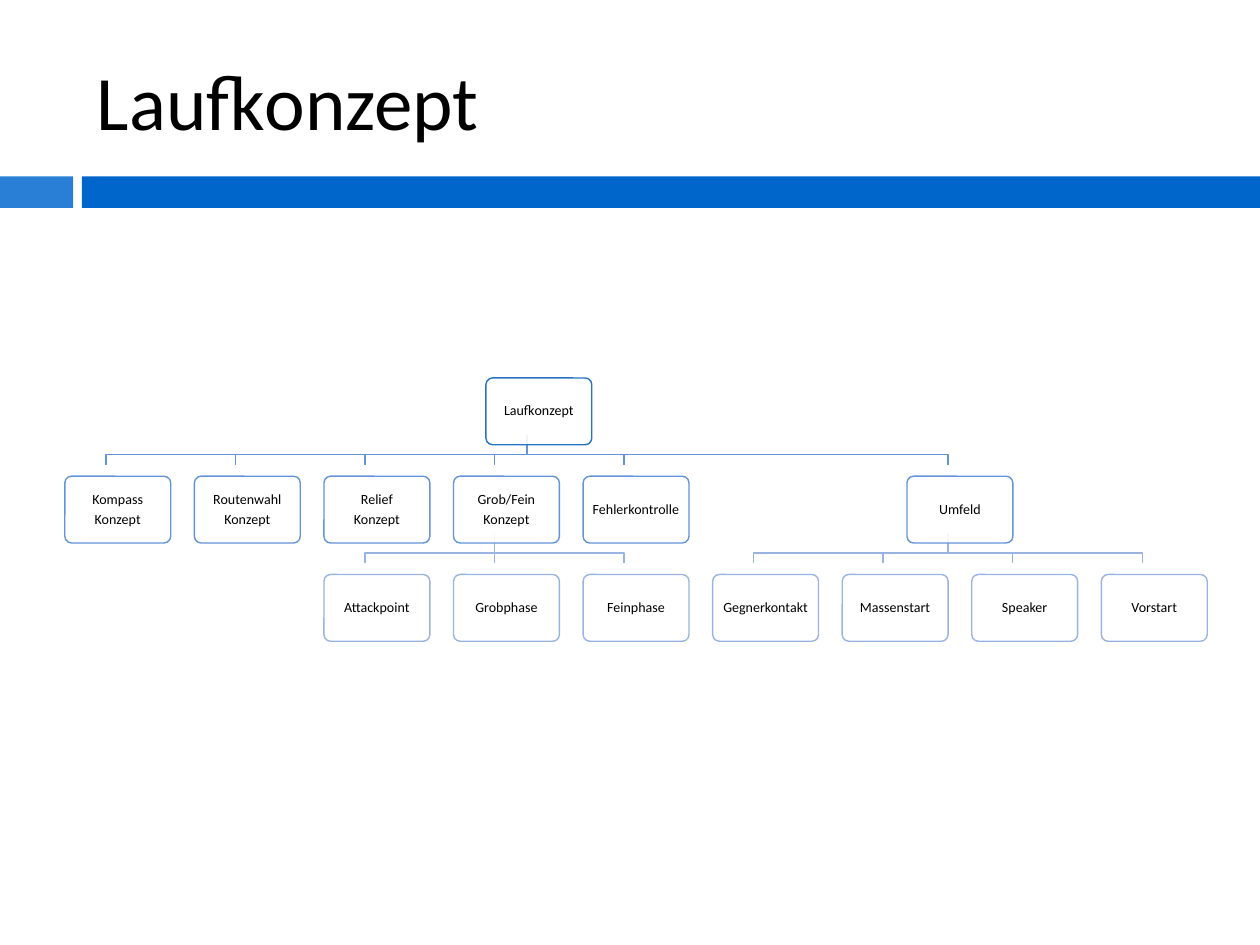
from dataclasses import dataclass

from lxml.etree import SubElement
from pptx import Presentation
from pptx.dml.color import RGBColor
from pptx.enum.shapes import MSO_CONNECTOR, MSO_SHAPE
from pptx.enum.text import MSO_ANCHOR, PP_ALIGN
from pptx.oxml.ns import qn
from pptx.util import Inches, Pt


@dataclass(frozen=True)
class Theme:
    font: str = "Calibri"
    title_size: float = 44
    box_size: float = 8
    line_width: float = 0.79
    text: str = "000000"
    box_fill: str = "FFFFFF"
    box_opacity: int = 90000
    accent: str = "297FD5"
    band: str = "0066CC"
    levels: tuple[str, ...] = ("2573C1", "6393DA", "99B3E3")


@dataclass(frozen=True)
class Grid:
    left: float = 0.515
    top: float = 3.0
    column: float = 1.0283
    row: float = 0.78
    box_width: float = 0.84
    box_height: float = 0.53
    stem_x: float = 0.325
    stem_start: float = 0.45
    stem_bend: float = 0.61
    stem_end: float = 0.69

    def x(self, column: float, offset: float = 0) -> int:
        return Inches(self.left + column * self.column + offset)

    def y(self, row: int, offset: float = 0) -> int:
        return Inches(self.top + row * self.row + offset)


@dataclass(frozen=True)
class Topic:
    lines: tuple[str, ...]
    leaf_column: float = 0
    children: tuple["Topic", ...] = ()

    @property
    def column(self) -> float:
        if not self.children:
            return self.leaf_column
        return (self.children[0].column + self.children[-1].column) / 2


THEME = Theme()
GRID = Grid()

COARSE_FINE = tuple(
    Topic((name,), column)
    for column, name in enumerate(("Attackpoint", "Grobphase", "Feinphase"), 2)
)
SURROUNDINGS = tuple(
    Topic((name,), column)
    for column, name in enumerate(
        ("Gegnerkontakt", "Massenstart", "Speaker", "Vorstart"), 5
    )
)
RUN_CONCEPT = Topic(
    ("Laufkonzept",),
    children=(
        Topic(("Kompass", "Konzept"), 0),
        Topic(("Routenwahl", "Konzept"), 1),
        Topic(("Relief", "Konzept"), 2),
        Topic(("Grob/Fein", "Konzept"), children=COARSE_FINE),
        Topic(("Fehlerkontrolle",), 4),
        Topic(("Umfeld",), children=SURROUNDINGS),
    ),
)


def rgb(value: str) -> RGBColor:
    return RGBColor.from_string(value)


def add_run(paragraph, text: str, size: float) -> None:
    run = paragraph.add_run()
    run.text = text
    run.font.name = THEME.font
    run.font.size = Pt(size)
    run.font.color.rgb = rgb(THEME.text)


def style_line(line, level: int) -> None:
    line.color.rgb = rgb(THEME.levels[level])
    line.width = Pt(THEME.line_width)


def draw_title(slide, text: str) -> None:
    title = slide.shapes.add_textbox(
        Inches(0.67), Inches(0.25), Inches(8.92), Inches(1.08)
    )
    title.text_frame.word_wrap = True
    title.text_frame.vertical_anchor = MSO_ANCHOR.MIDDLE
    add_run(title.text_frame.paragraphs[0], text, THEME.title_size)


def draw_band(slide, left: float, width: float, color: str) -> None:
    band = slide.shapes.add_shape(
        MSO_SHAPE.RECTANGLE, Inches(left), Inches(1.4), Inches(width), Inches(0.25)
    )
    band.shadow.inherit = False
    band.fill.solid()
    band.fill.fore_color.rgb = rgb(color)
    band.line.fill.background()


def draw_link(slide, parent: Topic, child: Topic, row: int) -> None:
    start_x = GRID.x(parent.column, GRID.stem_x)
    end_x = GRID.x(child.column, GRID.stem_x)
    start_y, bend_y, end_y = (
        GRID.y(row, offset)
        for offset in (GRID.stem_start, GRID.stem_bend, GRID.stem_end)
    )
    if start_x == end_x:
        link = slide.shapes.add_connector(
            MSO_CONNECTOR.STRAIGHT, start_x, start_y, end_x, end_y
        )
        style_line(link.line, row + 1)
        SubElement(link._element.spPr, qn("a:effectLst"))
        return
    outline = slide.shapes.build_freeform(start_x, start_y)
    outline.add_line_segments(
        [(start_x, bend_y), (end_x, bend_y), (end_x, end_y)], close=False
    )
    link = outline.convert_to_shape()
    link.shadow.inherit = False
    link.fill.background()
    style_line(link.line, row + 1)


def draw_links(slide, topic: Topic, row: int = 0) -> None:
    for child in reversed(topic.children):
        draw_links(slide, child, row + 1)
        draw_link(slide, topic, child, row)


def draw_box(slide, topic: Topic, row: int) -> None:
    box = slide.shapes.add_shape(
        MSO_SHAPE.ROUNDED_RECTANGLE,
        GRID.x(topic.column),
        GRID.y(row),
        Inches(GRID.box_width),
        Inches(GRID.box_height),
    )
    box.adjustments[0] = 0.1
    box.shadow.inherit = False
    box.fill.solid()
    box.fill.fore_color.rgb = rgb(THEME.box_fill)
    fill_color = box._element.spPr.find(qn("a:solidFill"))[0]
    SubElement(fill_color, qn("a:alpha"), val=str(THEME.box_opacity))
    style_line(box.line, row)

    frame = box.text_frame
    frame.word_wrap = True
    frame.vertical_anchor = MSO_ANCHOR.MIDDLE
    frame.margin_left = frame.margin_right = Inches(0.03)
    frame.margin_top = frame.margin_bottom = Inches(0.03)
    for index, line in enumerate(topic.lines):
        paragraph = frame.add_paragraph() if index else frame.paragraphs[0]
        paragraph.alignment = PP_ALIGN.CENTER
        paragraph.line_spacing = 0.9
        paragraph.space_after = Pt(0.35 * THEME.box_size)
        add_run(paragraph, line, THEME.box_size)


def draw_boxes(slide, topic: Topic, row: int = 0) -> None:
    draw_box(slide, topic, row)
    for child in topic.children:
        draw_boxes(slide, child, row + 1)


def main() -> None:
    deck = Presentation()
    deck.slide_width, deck.slide_height = Inches(10), Inches(7.5)
    slide = deck.slides.add_slide(deck.slide_layouts[6])
    draw_band(slide, 0, 0.58, THEME.accent)
    draw_band(slide, 0.65, 9.35, THEME.band)
    draw_title(slide, "Laufkonzept")
    draw_links(slide, RUN_CONCEPT)
    draw_boxes(slide, RUN_CONCEPT)
    deck.save("out.pptx")


if __name__ == "__main__":
    main()
